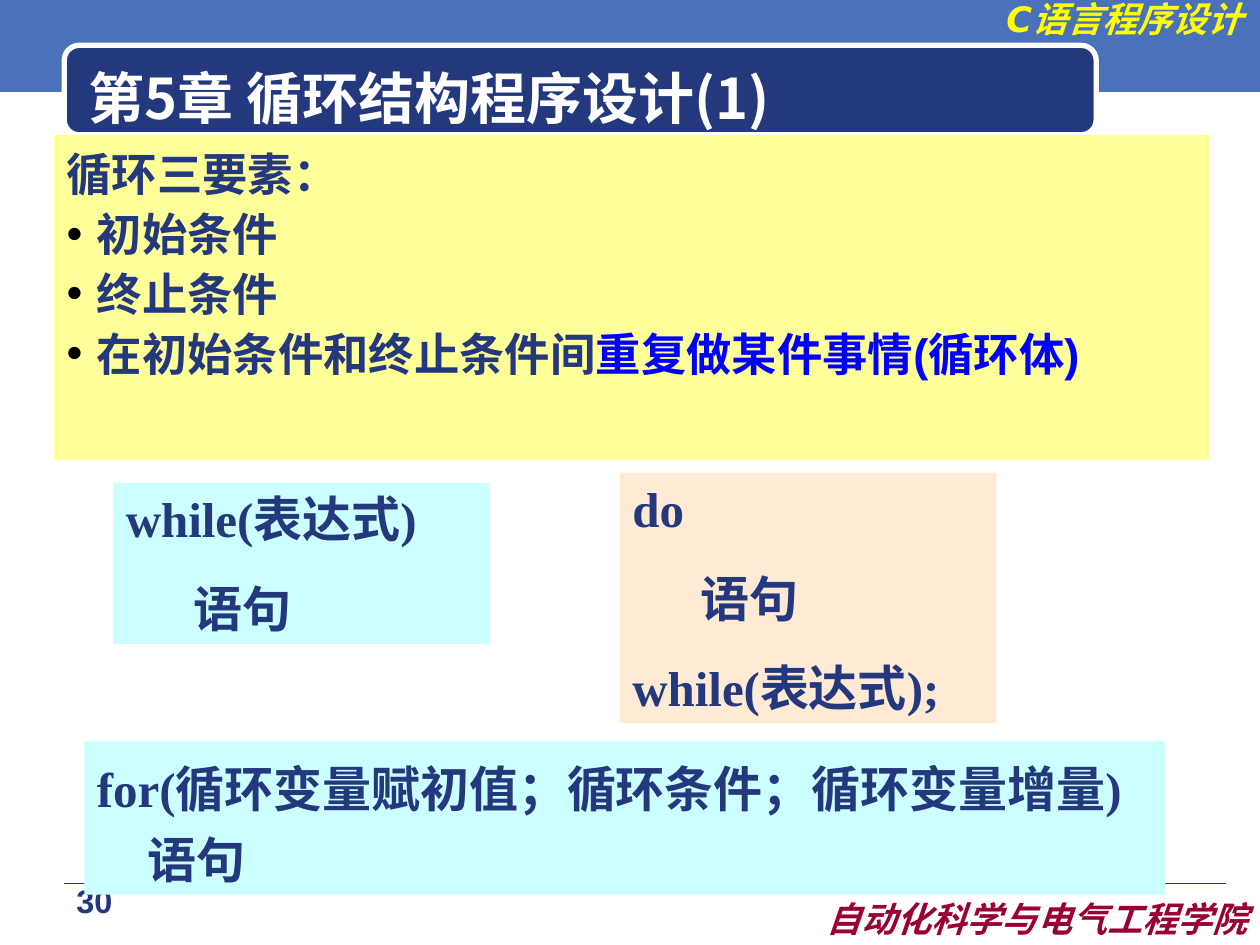
from lxml.etree import SubElement
from pptx import Presentation
from pptx.dml.color import RGBColor
from pptx.enum.shapes import MSO_CONNECTOR, MSO_SHAPE
from pptx.enum.text import MSO_ANCHOR as ANCHOR, PP_ALIGN as ALIGN
from pptx.oxml.ns import qn
from pptx.util import Inches, Pt

NAVY, WHITE, CYAN, BLUE = "23387D", "FFFFFF", "CCFFFF", "0000FF"

TITLE = "第5章 循环结构程序设计(1)"
BAND = (0, -0.03, 10, 0.76)
TITLE_BAR = (0.51, 0.36, 8.19, 0.71)
TITLE_AREA = (0.6, 0.46, 7.83, 0.62)
RULE = (0.51, 7.01, 9.73, 7.01)

LABELS = [
    (["C语言程序设计"], (7.44, -0.07, 2.52, 0.44),
     dict(size=20, color="FFFF00", italic=True, align=ALIGN.RIGHT)),
    (["自动化科学与电气工程学院"], (5.96, 7.07, 4.04, 0.44),
     dict(size=20, color="990033", italic=True, align=ALIGN.RIGHT)),
    (["30"], (0.2, 6.98, 1.1, 0.43),
     dict(size=18.5, font="Arial", align=ALIGN.CENTER, spacing=0.9)),
]

CODE = dict(size=28, font="Times New Roman")
PANELS = [
    (["while(表达式)", "    语句"], (0.9, 3.83, 2.99, 1.28), CYAN,
     dict(CODE, before=17.5)),
    (["for(循环变量赋初值；循环条件；循环变量增量)", "   语句"],
     (0.67, 5.88, 8.58, 1.22), CYAN,
     dict(CODE, spacing=1.2, anchor=ANCHOR.MIDDLE)),
    (["循环三要素：", "初始条件", "终止条件",
      [("在初始条件和终止条件间", NAVY), ("重复做某件事情(循环体)", BLUE)]],
     (0.43, 1.07, 9.17, 2.58), "FFFF99",
     dict(size=25.9, font="Arial", spacing=1.1, bullets_from=1)),
    (["do", "    语句", "while(表达式);"], (4.92, 3.75, 2.99, 1.99), "FFEAD5",
     dict(CODE, before=17.5)),
]


def rgb(value):
    """Turn a hex string into a colour."""
    return RGBColor.from_string(value)


def add_bullet(para):
    """Give a paragraph a black bullet with a hanging indent."""
    props = para._p.get_or_add_pPr()
    props.set("marL", str(Inches(0.24)))
    props.set("indent", str(-Inches(0.24)))
    color = SubElement(props, qn("a:buClr"))
    SubElement(color, qn("a:srgbClr"), val="000000")
    SubElement(props, qn("a:buFont"), typeface="Arial")
    SubElement(props, qn("a:buChar"), char="•")


def write(box, paragraphs, size, font="DejaVu Sans", asian="DejaVu Sans", color=NAVY,
          italic=False, align=ALIGN.LEFT, anchor=ANCHOR.TOP, spacing=1.0, before=0,
          bullets_from=None):
    """Fill a shape with bold paragraphs in one format."""
    frame = box.text_frame
    frame.word_wrap = True
    frame.vertical_anchor = anchor
    frame.margin_left = frame.margin_right = Inches(0.1)
    frame.margin_top = frame.margin_bottom = Inches(0.05)
    for index, content in enumerate(paragraphs):
        para = frame.add_paragraph() if index else frame.paragraphs[0]
        para.alignment = align
        para.line_spacing = spacing
        para.space_before = Pt(before if index else 0)
        if bullets_from is not None and index >= bullets_from:
            add_bullet(para)
        spans = [(content, color)] if isinstance(content, str) else content
        for text, tint in spans:
            span = para.add_run()
            span.text = text
            span.font.size = Pt(size)
            span.font.name = font
            span.font.bold = True
            span.font.italic = italic
            span.font.color.rgb = rgb(tint)
            SubElement(span._r.get_or_add_rPr(), qn("a:ea"), typeface=asian)


def add_panel(page, area, fill, kind=MSO_SHAPE.RECTANGLE):
    """Add a flat filled shape without an outline."""
    panel = page.shapes.add_shape(kind, *map(Inches, area))
    panel.shadow.inherit = False
    panel.fill.solid()
    panel.fill.fore_color.rgb = rgb(fill)
    panel.line.fill.background()
    return panel


def add_rule(page):
    """Add the thin footer line."""
    rule = page.shapes.add_connector(MSO_CONNECTOR.STRAIGHT, *map(Inches, RULE))
    rule.line.color.rgb = rgb("1A3D97")
    rule.line.width = Pt(0.25)
    SubElement(rule._element.spPr, qn("a:effectLst"))


def add_title(page):
    """Place the title on its bar."""
    bar = add_panel(page, TITLE_BAR, NAVY, MSO_SHAPE.ROUNDED_RECTANGLE)
    bar.line.color.rgb = rgb(WHITE)
    bar.line.width = Pt(3)
    title = page.shapes.title
    title.left, title.top, title.width, title.height = map(Inches, TITLE_AREA)
    write(title, [TITLE], size=32, font="Noto Sans CJK SC", asian="Noto Sans CJK SC",
          color=WHITE, anchor=ANCHOR.MIDDLE)
    bar._element.addnext(title._element)


def main():
    """Build the slide and save it."""
    deck = Presentation()
    deck.slide_width, deck.slide_height = Inches(10), Inches(7.5)
    page = deck.slides.add_slide(deck.slide_layouts[5])
    add_panel(page, BAND, "4972BB")
    add_rule(page)
    add_title(page)
    for paragraphs, area, style in LABELS:
        write(page.shapes.add_textbox(*map(Inches, area)), paragraphs, **style)
    for paragraphs, area, fill, style in PANELS:
        write(add_panel(page, area, fill), paragraphs, **style)
    deck.save("out.pptx")


if __name__ == "__main__":
    main()
